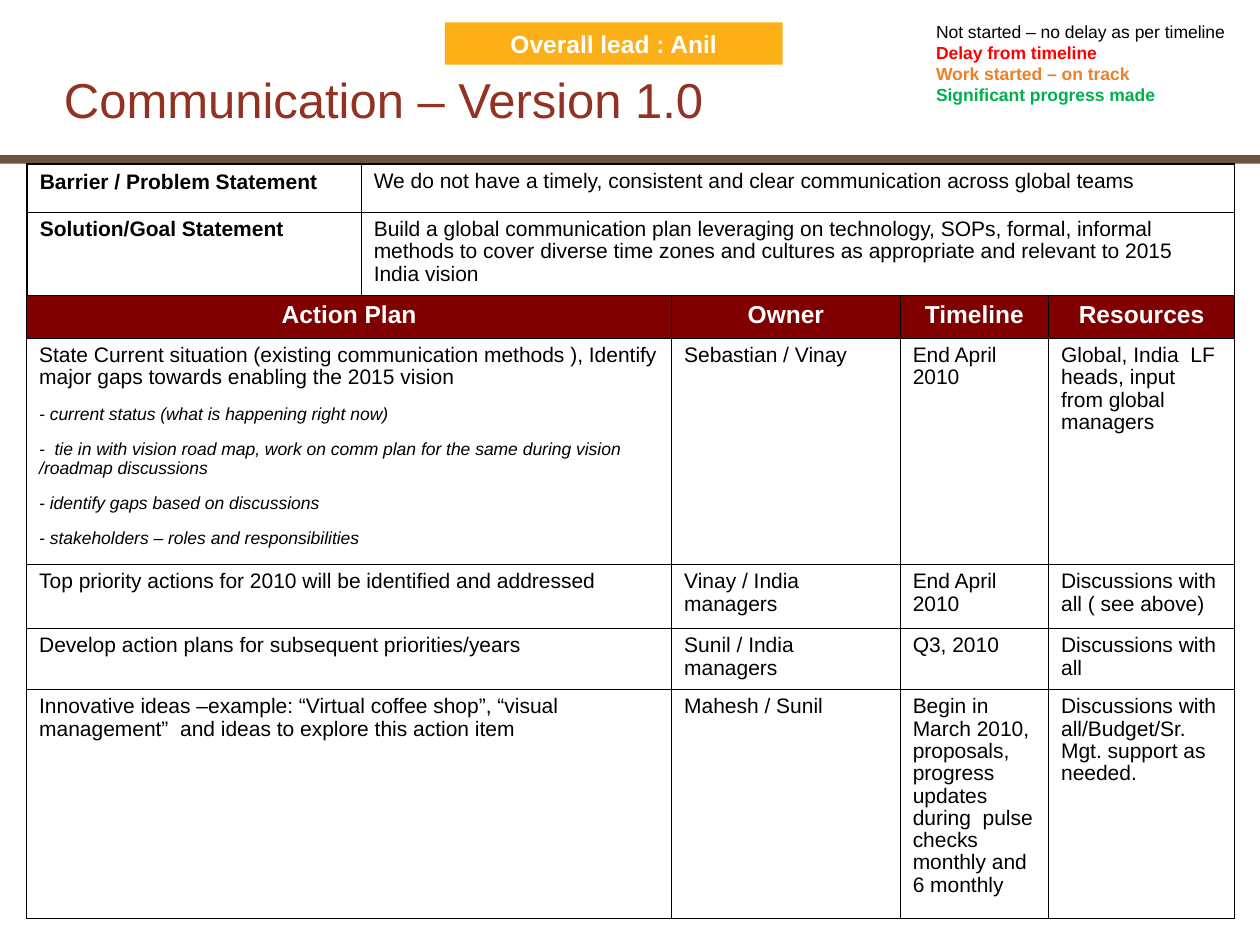
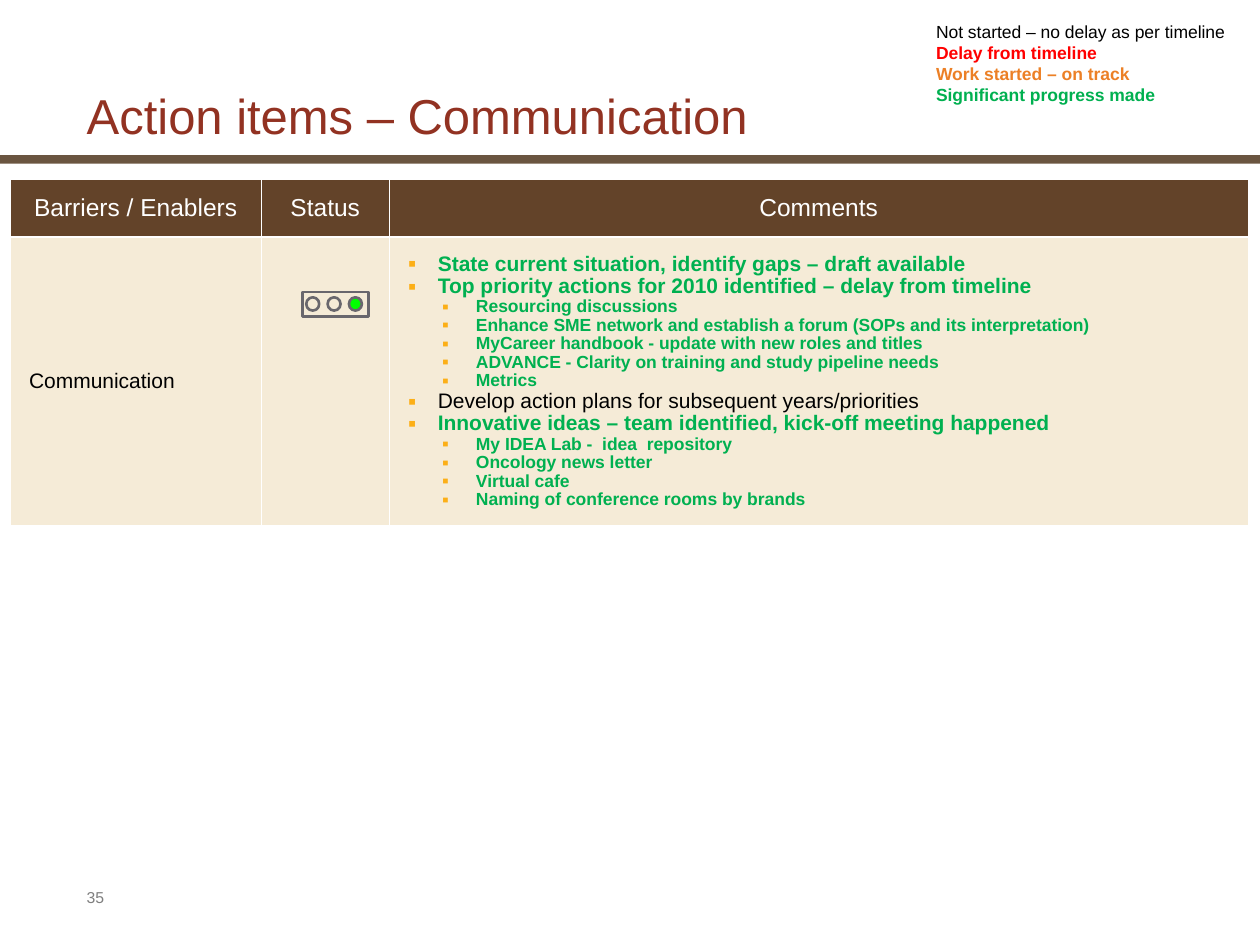
from lxml import etree
from pptx import Presentation
from pptx import util as u
from pptx.dml import color
from pptx.enum import shapes, text
from pptx.oxml import ns

Pt = u.Pt
rgb = color.RGBColor.from_string
BLACK, WHITE, GREEN, AMBER = "000000", "FFFFFF", "00B050", "FCAF17"
TITLE, BAND, MAROON, BROWN, CREAM = "923222", "6A5540", "800000", "634329", "F5EBD7"
GREY, LAMP = "69676D", "00FF00"
CENTER = text.PP_ALIGN.CENTER
MIDDLE = text.MSO_ANCHOR.MIDDLE
RECT, OVAL = shapes.MSO_SHAPE.RECTANGLE, shapes.MSO_SHAPE.OVAL


def write(frame, lines, align=None, spacing=None, gap=0):
    """Each line is (text, size, colour, style), style being any of "b" and "i"."""
    frame.word_wrap = True
    for number, (words, size, colour, style) in enumerate(lines):
        para = frame.add_paragraph() if number else frame.paragraphs[0]
        para.text = words
        para.alignment = align
        if spacing:
            para.line_spacing = spacing
        if number and gap:
            para.space_before = Pt(gap)
        for span in para.runs:
            span.font.name = "Arial"
            span.font.size = Pt(size)
            span.font.color.rgb = rgb(colour)
            span.font.bold = "b" in style
            span.font.italic = "i" in style


def style_cell(cell, fill, line, widths):
    """Widths are the left, right, top and bottom border widths in points."""
    properties = cell._tc.get_or_add_tcPr()
    for side, width in zip("LRTB", widths):
        edge = etree.SubElement(properties, ns.qn(f"a:ln{side}"), w=str(Pt(width)))
        solid = etree.SubElement(edge, ns.qn("a:solidFill"))
        etree.SubElement(solid, ns.qn("a:srgbClr"), val=line)
    if fill:
        cell.fill.solid()
        cell.fill.fore_color.rgb = rgb(fill)
    else:
        cell.fill.background()


deck = Presentation()
deck.slide_width, deck.slide_height = Pt(720), Pt(540)

# Shared parts: band, title and status legend
legend = [
    ("Not started – no delay as per timeline", 10, BLACK, ""),
    ("Delay from timeline", 10, "FF0000", "b"),
    ("Work started – on track", 10, "EC8026", "b"),
    ("Significant progress made", 10, GREEN, "b"),
]
titles = [
    ("Communication – Version 1.0", (29.5, 38.9, 648, 38.9)),
    ("Action items – Communication", (42.5, 25.2, 653, 61.9)),
]
pages = []
for title, area in titles:
    page = deck.slides.add_slide(deck.slide_layouts[6])
    pages.append(page)
    band = page.shapes.add_shape(RECT, 0, Pt(88.6), Pt(720), Pt(5))
    band.shadow.inherit = False
    band.fill.solid()
    band.fill.fore_color.rgb = rgb(BAND)
    band.line.fill.background()
    box = page.shapes.add_textbox(*map(Pt, area))
    box.text_frame.vertical_anchor = text.MSO_ANCHOR.BOTTOM
    write(box.text_frame, [(title, 28, TITLE, "")], spacing=0.95)
    box = page.shapes.add_textbox(Pt(527.8), Pt(8.6), Pt(187.2), Pt(55.4))
    write(box.text_frame, legend)
plan_page, status_page = pages

# Slide 1: statements and action plan
statements = [
    ["Barrier / Problem Statement",
     "We do not have a timely, consistent and clear communication across global teams"],
    ["Solution/Goal Statement",
     "Build a global communication plan leveraging on technology, SOPs, formal, informal "
     "methods to cover diverse time zones and cultures as appropriate and relevant to 2015 "
     "India vision"],
]
actions = [
    ["Action Plan", "Owner", "Timeline", "Resources"],
    ["State Current situation (existing communication methods ), Identify major gaps "
     "towards enabling the 2015 vision",
     "Sebastian / Vinay", "End April 2010",
     "Global, India  LF heads, input from global managers"],
    ["Top priority actions for 2010 will be identified and addressed",
     "Vinay / India managers", "End April 2010", "Discussions with all ( see above)"],
    ["Develop action plans for subsequent priorities/years",
     "Sunil / India managers", "Q3, 2010", "Discussions with all"],
    ["Innovative ideas –example: “Virtual coffee shop”, “visual management”  and ideas to "
     "explore this action item",
     "Mahesh / Sunil",
     "Begin in March 2010, proposals, progress updates during  pulse checks monthly and "
     "6 monthly",
     "Discussions with all/Budget/Sr. Mgt. support as needed."],
]
first_action_steps = [
    "- current status (what is happening right now)",
    "-  tie in with vision road map, work on comm plan for the same during vision "
    "/roadmap discussions",
    "- identify gaps based on discussions",
    "- stakeholders – roles and responsibilities",
]
comments = [
    (0, "State current situation, identify gaps – draft available"),
    (0, "Top priority actions for 2010 identified – delay from timeline"),
    (1, "Resourcing discussions"),
    (1, "Enhance SME network and establish a forum (SOPs and its interpretation)"),
    (1, "MyCareer handbook - update with new roles and titles"),
    (1, "ADVANCE - Clarity on training and study pipeline needs"),
    (1, "Metrics"),
    (0, "Develop action plans for subsequent years/priorities"),
    (0, "Innovative ideas – team identified, kick-off meeting happened"),
    (1, "My IDEA Lab -  idea  repository"),
    (1, "Oncology news letter"),
    (1, "Virtual cafe"),
    (1, "Naming of conference rooms by brands"),
]
NOT_STARTED = 7
statuses = [["Barriers / Enablers", "Status", "Comments"], ["Communication", "", ""]]

# All three tables: page, left, top, column widths, row heights, wording
grids = []
for page, left, top, widths, heights, rows in [
    (plan_page, 15.6, 93.8, (190.8, 499), (27.5, 47.5), statements),
    (plan_page, 15.2, 168.8, (368.6, 130.6, 84.8, 106.4),
     (24.5, 129.2, 36.6, 34.8, 131), actions),
    (status_page, 5.8, 102.8, (143.6, 73, 491), (32.6, 165), statuses),
]:
    grid = page.shapes.add_table(len(rows), len(widths), Pt(left), Pt(top),
                                 Pt(sum(widths)), Pt(sum(heights))).table
    grid.first_row = grid.horz_banding = False
    for column, width in zip(grid.columns, widths):
        column.width = Pt(width)
    for row, height in zip(grid.rows, heights):
        row.height = Pt(height)
    grids.append(grid)
statement_table, action_table, status_table = grids

for r, row in enumerate(statements):
    for c, words in enumerate(row):
        cell = statement_table.cell(r, c)
        outer = (c == 0, c == 1, r == 0, r == 1)
        style_cell(cell, None, BLACK, [1.08 if edge else 0.45 for edge in outer])
        write(cell.text_frame, [(words, 12, BLACK, "" if c else "b")],
              spacing=0.95 if r or c else None)

for r, row in enumerate(actions):
    for c, words in enumerate(row):
        cell = action_table.cell(r, c)
        style_cell(cell, None if r else MAROON, BLACK, [0.45] * 4)
        if r == 0:
            write(cell.text_frame, [(words, 14, WHITE, "b")], align=CENTER)
            continue
        lines = [(words, 12, BLACK, "")]
        if (r, c) == (1, 0):
            lines += [(step, 10, BLACK, "i") for step in first_action_steps]
        write(cell.text_frame, lines, spacing=0.95, gap=9.4)

lead = plan_page.shapes.add_shape(RECT, Pt(254.2), Pt(12.8), Pt(193), Pt(24.2))
lead.shadow.inherit = False
lead.fill.solid()
lead.fill.fore_color.rgb = rgb(AMBER)
lead.line.fill.background()
write(lead.text_frame, [("Overall lead : Anil", 14, WHITE, "b")], align=CENTER)

# Slide 2: status table
for r, row in enumerate(statuses):
    for c, words in enumerate(row):
        cell = status_table.cell(r, c)
        style_cell(cell, CREAM if r else BROWN, WHITE, [0.75] * 4)
        cell.vertical_anchor = MIDDLE
        cell.margin_left = cell.margin_right = Pt(10.8)
        if words:
            line = (words, 12, BLACK, "") if r else (words, 14, WHITE, "")
            write(cell.text_frame, [line], align=None if r else CENTER, spacing=0.95)

# Bulleted comments on two levels
lines = []
for number, (level, words) in enumerate(comments):
    colour, style = (BLACK, "") if number == NOT_STARTED else (GREEN, "b")
    lines.append((words, 10 if level else 12, colour, style))
frame = status_table.cell(1, 2).text_frame
write(frame, lines, spacing=0.95)
for para, (level, words) in zip(frame.paragraphs, comments):
    para.level = level
    properties = para._p.get_or_add_pPr()
    properties.set("marL", str(Pt(38.8 if level else 17)))
    properties.set("indent", str(Pt(-19.4 if level else -17)))
    bullet_colour = etree.SubElement(properties, ns.qn("a:buClr"))
    etree.SubElement(bullet_colour, ns.qn("a:srgbClr"), val=AMBER)
    etree.SubElement(properties, ns.qn("a:buSzPct"), val="110000")
    etree.SubElement(properties, ns.qn("a:buFont"), typeface="Arial")
    etree.SubElement(properties, ns.qn("a:buChar"), char="▪")

# Traffic light with the last lamp on
light = status_page.shapes.add_group_shape().shapes
parts = [(RECT, 172.8, 167, 37.8, 14, None)]
for lamp in range(3):
    parts.append((OVAL, 175 + 12.2 * lamp, 169.9, 7.4, 7.6, LAMP if lamp == 2 else None))
for kind, left, top, width, height, fill in parts:
    part = light.add_shape(kind, Pt(left), Pt(top), Pt(width), Pt(height))
    part.shadow.inherit = False
    part.line.color.rgb = rgb(GREY)
    part.line.width = Pt(1.5)
    if fill:
        part.fill.solid()
        part.fill.fore_color.rgb = rgb(fill)
    else:
        part.fill.background()

# Page number
box = status_page.shapes.add_textbox(Pt(42.5), Pt(504), Pt(31.7), Pt(19.4))
write(box.text_frame, [("35", 9, "7F7F7F", "")])

deck.save("out.pptx")
